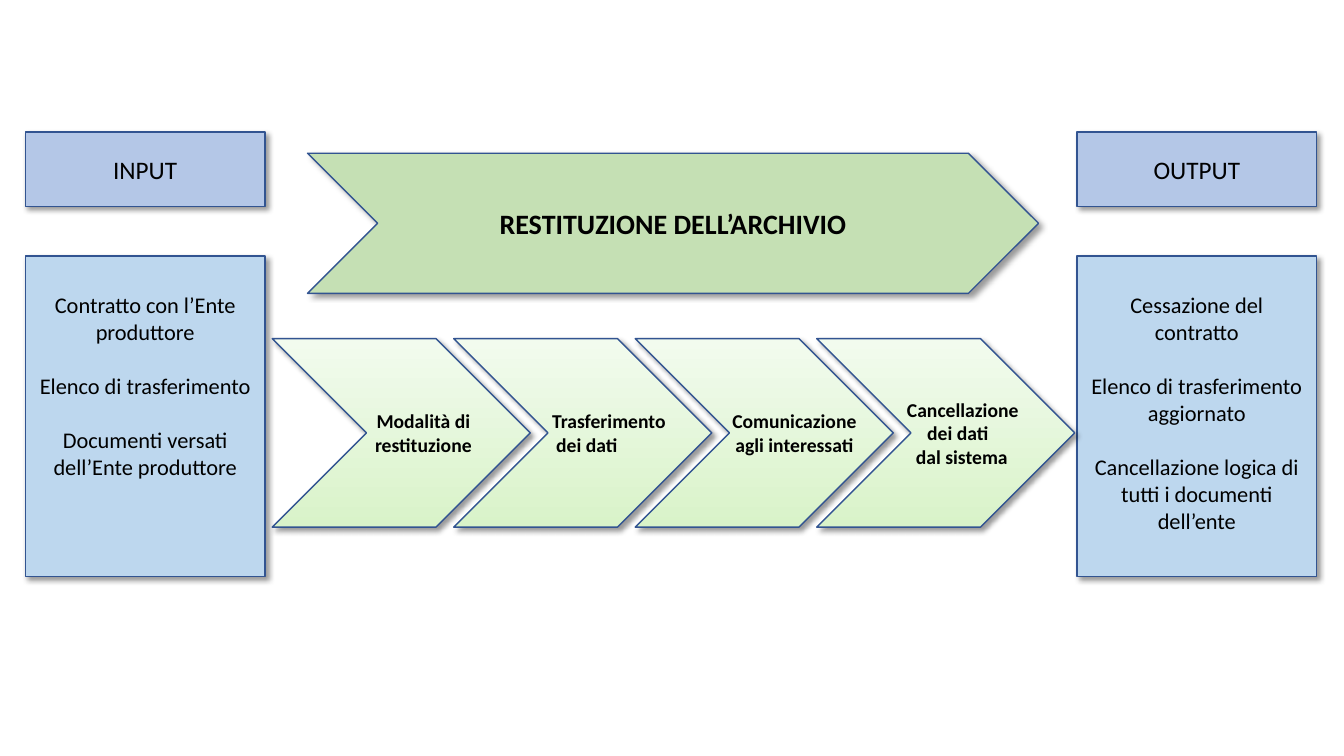
from lxml import etree
from pptx import Presentation
from pptx import util as u
from pptx.dml import color
from pptx.enum import shapes, text
from pptx.oxml import ns

COLORS = {
    "header": "B4C7E7",
    "detail": "BDD7EE",
    "process": "C5E0B4",
    "step_bottom": "D9F3C9",
    "step_top": "F2FBEE",
    "outline": "325491",
    "text": "000000",
    "shadow": "000000",
}
FONT = "Calibri"

# Left edge, header and details of each side column
COLUMNS = [
    (0.25, "INPUT", [
        "Contratto con l’Ente produttore",
        "Elenco di trasferimento",
        "Documenti versati dell’Ente produttore",
    ]),
    (10.68, "OUTPUT", [
        "Cessazione del contratto",
        "Elenco di trasferimento aggiornato",
        "Cancellazione logica di tutti i documenti dell’ente",
    ]),
]

# Text shift of each step, then its lines with their left and right margins
STEPS = [
    (0.22, [("Modalità di", 0, 0), ("restituzione", 0, 0)]),
    (0.26, [("Trasferimento", 0, 0), ("dei dati", 0, 0.44)]),
    (0.3, [("Comunicazione", 0, 0), ("agli interessati", 0, 0)]),
    (0.17, [("Cancellazione", 0, 0), ("dei dati", 0, 0.1),
            ("dal sistema", 0.08, 0)]),
]


def rgb(name):
    return color.RGBColor.from_string(COLORS[name])


def add_shadow(shape):
    """Give the shape a soft shadow towards the lower right."""
    shape.shadow.inherit = False
    effects = shape._element.spPr.find(ns.qn("a:effectLst"))
    outer = etree.SubElement(effects, ns.qn("a:outerShdw"), {
        "blurRad": str(u.Pt(4)), "dist": str(u.Pt(3)),
        "dir": str(45 * 60000), "algn": "tl", "rotWithShape": "0"})
    tint = etree.SubElement(outer, ns.qn("a:srgbClr"), val=COLORS["shadow"])
    etree.SubElement(tint, ns.qn("a:alpha"), val="40000")


def add_panel(page, kind, left, top, width, height, fill=None):
    """Add an outlined shape; without a fill name it gets the step gradient."""
    panel = page.shapes.add_shape(kind, u.Inches(left), u.Inches(top),
                                  u.Inches(width), u.Inches(height))
    if fill:
        panel.fill.solid()
        panel.fill.fore_color.rgb = rgb(fill)
    else:
        panel.fill.gradient()
        panel.fill.gradient_angle = 90
        for stop, name in zip(panel.fill.gradient_stops,
                              ("step_bottom", "step_top")):
            stop.color.rgb = rgb(name)
    panel.line.color.rgb = rgb("outline")
    panel.line.width = u.Pt(1)
    add_shadow(panel)
    return panel


def write(panel, lines, size=16, bold=False, gap=0, wrap=True,
          anchor=text.MSO_ANCHOR.MIDDLE, **insets):
    """Write centred lines, each a string or (string, left, right margin)."""
    frame = panel.text_frame
    frame.word_wrap = wrap
    frame.vertical_anchor = anchor
    for side, inset in insets.items():
        setattr(frame, "margin_" + side, u.Inches(inset))
    for index, line in enumerate(lines):
        words, left, right = (line, 0, 0) if isinstance(line, str) else line
        para = frame.paragraphs[0] if index == 0 else frame.add_paragraph()
        para.alignment = text.PP_ALIGN.CENTER
        if index and gap:
            para.space_before = u.Pt(gap)
        for side, margin in (("marL", left), ("marR", right)):
            if margin:
                para._p.get_or_add_pPr().set(side, str(u.Inches(margin)))
        span = para.add_run()
        span.text = words
        span.font.name = FONT
        span.font.size = u.Pt(size)
        span.font.bold = bold
        span.font.color.rgb = rgb("text")


def add_column(page, left, header, details):
    box = shapes.MSO_SHAPE.RECTANGLE
    write(add_panel(page, box, left, 1.31, 2.38, 0.74, "header"),
          [header], size=18)
    write(add_panel(page, box, left, 2.54, 2.38, 3.18, "detail"), details,
          gap=19.5, anchor=text.MSO_ANCHOR.TOP, top=0.35)


def add_step(page, index, shift, lines):
    step = add_panel(page, shapes.MSO_SHAPE.CHEVRON,
                     2.7 + 1.8 * index, 3.36, 2.56, 1.87)
    write(step, lines, size=14, bold=True, wrap=False,
          left=2 * shift, right=0)


def main():
    deck = Presentation()
    deck.slide_width = u.Inches(13.33)
    deck.slide_height = u.Inches(7.5)
    page = deck.slides.add_slide(deck.slide_layouts[6])

    # Input and output columns
    for column in COLUMNS:
        add_column(page, *column)

    # Overall process
    process = add_panel(page, shapes.MSO_SHAPE.CHEVRON,
                        3.05, 1.52, 7.25, 1.39, "process")
    write(process, ["RESTITUZIONE DELL’ARCHIVIO"], size=20, bold=True)

    # Process steps
    for index, step in enumerate(STEPS):
        add_step(page, index, *step)

    deck.save("out.pptx")


main()
